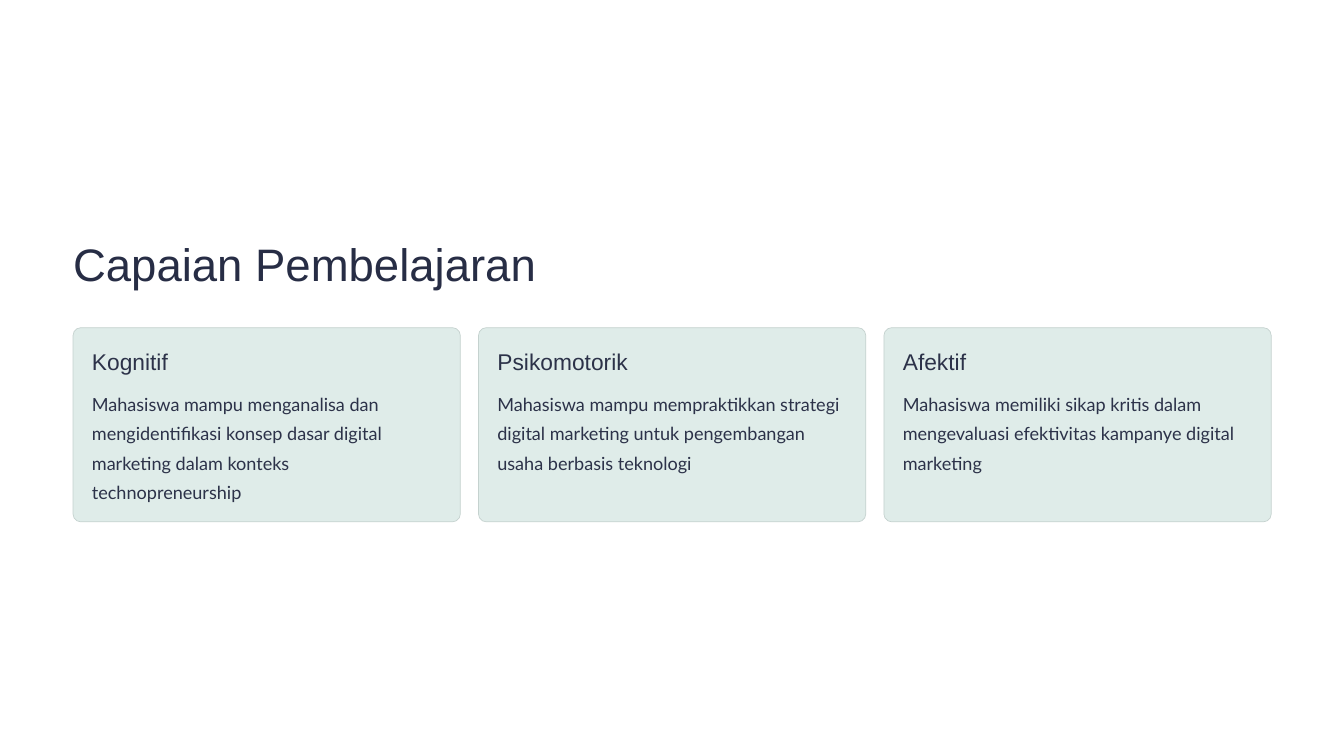
from dataclasses import dataclass

from pptx import Presentation
from pptx.dml.color import RGBColor
from pptx.enum.shapes import MSO_SHAPE
from pptx.enum.text import MSO_ANCHOR, MSO_AUTO_SIZE, PP_ALIGN
from pptx.util import Cm, Pt


@dataclass(frozen=True)
class Theme:
    background: RGBColor = RGBColor(0xFF, 0xFF, 0xFF)
    card_fill: RGBColor = RGBColor(0xDF, 0xEC, 0xE9)
    card_line: RGBColor = RGBColor(0xC5, 0xD2, 0xCF)
    title_color: RGBColor = RGBColor(0x27, 0x2D, 0x45)
    text_color: RGBColor = RGBColor(0x2C, 0x32, 0x49)
    heading_font: str = "Arial"
    body_font: str = "Lato"
    title_size: float = 39
    heading_size: float = 19.5
    body_size: float = 15.5


theme = Theme()


def write_text(box, text, font, size, color, line_spacing, wrap):
    frame = box.text_frame
    frame.margin_left = frame.margin_top = frame.margin_right = frame.margin_bottom = 0
    frame.auto_size = MSO_AUTO_SIZE.NONE
    frame.vertical_anchor = MSO_ANCHOR.TOP
    frame.word_wrap = wrap
    para = frame.paragraphs[0]
    para.alignment = PP_ALIGN.LEFT
    para.space_before = Pt(0)
    para.line_spacing = Pt(line_spacing)
    span = para.add_run()
    span.text = text
    span.font.name = font
    span.font.size = Pt(size)
    span.font.color.rgb = color


# Deck and page
deck = Presentation()
deck.slide_width, deck.slide_height = Cm(40.64), Cm(22.86)
page = deck.slides.add_slide(deck.slide_layouts[5])
page.background.fill.solid()
page.background.fill.fore_color.rgb = theme.background

# Title, wide enough for a single line
margin = 2.21
title = page.shapes.title
title.left, title.top, title.width, title.height = Cm(margin), Cm(7.09), Cm(15), Cm(1.73)
write_text(title, "Capaian Pembelajaran", theme.heading_font, theme.title_size,
           theme.title_color, 48.5, False)

# Learning outcome cards
outcomes = [
    ("Kognitif", "Mahasiswa mampu menganalisa dan mengidentifikasi konsep dasar "
                 "digital marketing dalam konteks technopreneurship"),
    ("Psikomotorik", "Mahasiswa mampu mempraktikkan strategi digital marketing "
                     "untuk pengembangan usaha berbasis teknologi"),
    ("Afektif", "Mahasiswa memiliki sikap kritis dalam mengevaluasi efektivitas "
                "kampanye digital marketing"),
]
card_width, card_height, card_gap = 11.71, 5.87, 0.55
card_top, padding = 9.91, 0.57

for index, (heading, description) in enumerate(outcomes):
    left = margin + index * (card_width + card_gap)
    card = page.shapes.add_shape(MSO_SHAPE.ROUNDED_RECTANGLE, Cm(left), Cm(card_top),
                                 Cm(card_width), Cm(card_height))
    card.adjustments[0] = 0.04
    card.shadow.inherit = False
    card.fill.solid()
    card.fill.fore_color.rgb = theme.card_fill
    card.line.color.rgb = theme.card_line
    card.line.width = Pt(0.6)

    text_left = Cm(left + padding)
    heading_box = page.shapes.add_textbox(text_left, Cm(10.5), Cm(6.88), Cm(0.86))
    write_text(heading_box, heading, theme.heading_font, theme.heading_size,
               theme.text_color, 24, False)
    body_box = page.shapes.add_textbox(text_left, Cm(11.68),
                                       Cm(card_width - 2 * padding), Cm(3.53))
    write_text(body_box, description, theme.body_font, theme.body_size,
               theme.text_color, 25, True)

deck.save("out.pptx")
